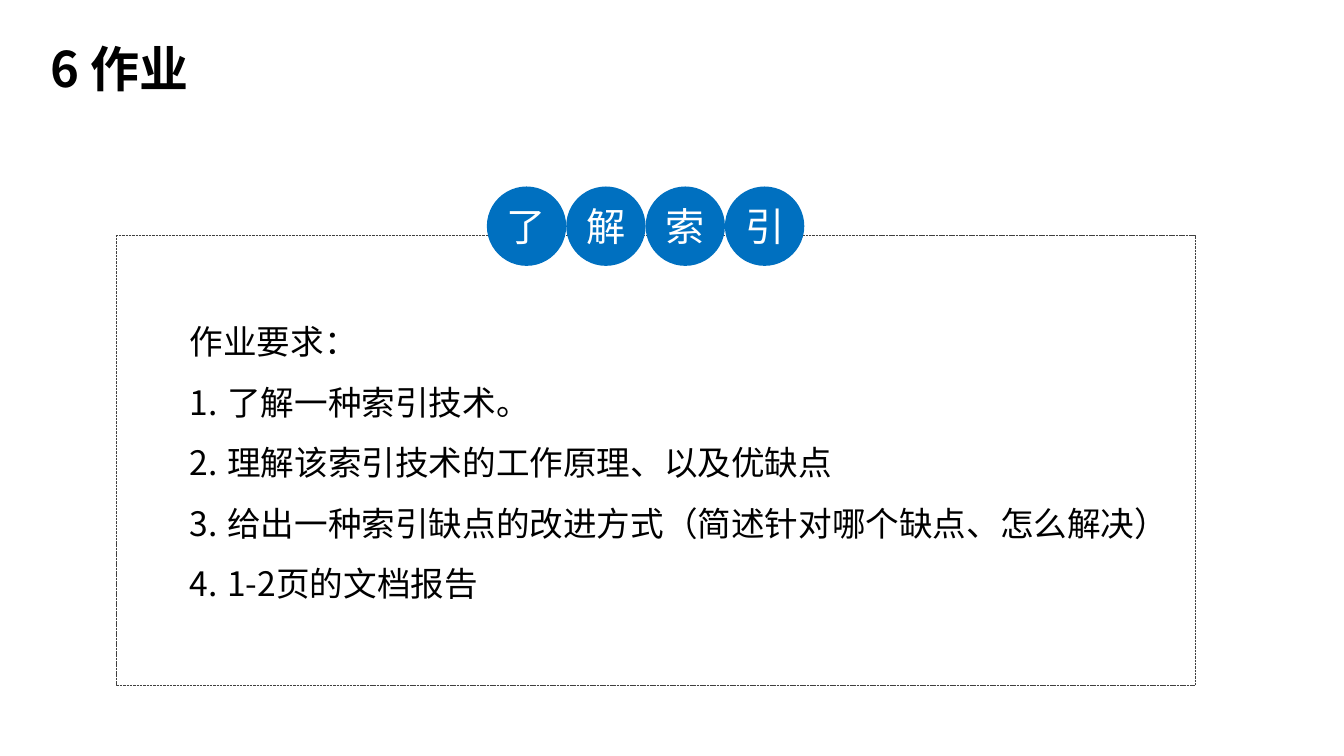
from lxml.etree import SubElement
from pptx import Presentation
from pptx.dml.color import RGBColor
from pptx.enum.dml import MSO_LINE
from pptx.enum.shapes import MSO_SHAPE
from pptx.enum.text import MSO_ANCHOR, MSO_AUTO_SIZE, PP_ALIGN
from pptx.oxml.ns import qn
from pptx.util import Cm, Pt

BLACK = RGBColor(0x00, 0x00, 0x00)
WHITE = RGBColor(0xFF, 0xFF, 0xFF)
BLUE = RGBColor(0x00, 0x70, 0xC0)
GREY = RGBColor(0x40, 0x40, 0x40)


class SlideBuilder:
    """Draws styled elements on the current slide."""

    font = "Noto Sans CJK SC"

    def __init__(self, prs):
        self.s = prs.slides.add_slide(prs.slide_layouts[5])

    def run(self, p, text, size, color=BLACK, bold=False):
        r = p.add_run()
        r.text = text
        r.font.size = Pt(size)
        r.font.bold = bold
        r.font.color.rgb = color
        r.font.name = self.font
        SubElement(r.font._element, qn("a:ea"), typeface=self.font)

    def clear_insets(self, tf):
        tf.margin_left = tf.margin_right = tf.margin_top = tf.margin_bottom = 0

    def title(self, text, left, top, width, height):
        sp = self.s.shapes.title
        sp.left, sp.top, sp.width, sp.height = Cm(left), Cm(top), Cm(width), Cm(height)
        tf = sp.text_frame
        tf.auto_size = MSO_AUTO_SIZE.NONE
        tf.vertical_anchor = MSO_ANCHOR.MIDDLE
        p = tf.paragraphs[0]
        p.alignment = PP_ALIGN.LEFT
        p.line_spacing = 0.9
        self.run(p, text, 35, bold=True)

    def frame(self, left, top, width, height):
        sp = self.s.shapes.add_shape(
            MSO_SHAPE.ROUNDED_RECTANGLE, Cm(left), Cm(top), Cm(width), Cm(height))
        sp.adjustments[0] = 0
        sp.shadow.inherit = False
        sp.fill.background()
        sp.line.color.rgb = GREY
        sp.line.width = Pt(0.25)
        sp.line.dash_style = MSO_LINE.SQUARE_DOT

    def badge(self, text, left, top, size):
        sp = self.s.shapes.add_shape(
            MSO_SHAPE.OVAL, Cm(left), Cm(top), Cm(size), Cm(size))
        sp.shadow.inherit = False
        sp.fill.solid()
        sp.fill.fore_color.rgb = BLUE
        sp.line.fill.background()
        tf = sp.text_frame
        self.clear_insets(tf)
        tf.vertical_anchor = MSO_ANCHOR.MIDDLE
        p = tf.paragraphs[0]
        p.alignment = PP_ALIGN.CENTER
        self.run(p, text, 28, WHITE)

    def numbered_list(self, heading, items, left, top, width, height):
        sp = self.s.shapes.add_textbox(Cm(left), Cm(top), Cm(width), Cm(height))
        tf = sp.text_frame
        tf.word_wrap = True
        tf.auto_size = MSO_AUTO_SIZE.SHAPE_TO_FIT_TEXT
        self.clear_insets(tf)
        self.paragraph(tf.paragraphs[0], heading)
        for item in items:
            p = tf.add_paragraph()
            pPr = p._p.get_or_add_pPr()
            pPr.set("marL", str(Cm(0.95)))
            pPr.set("indent", str(-Cm(0.95)))
            SubElement(pPr, qn("a:buAutoNum"), type="arabicPeriod")
            self.paragraph(p, item)

    def paragraph(self, p, text):
        p.alignment = PP_ALIGN.JUSTIFY
        p.line_spacing = 1.5
        self.run(p, text, 24)


def main():
    prs = Presentation()
    prs.slide_width, prs.slide_height = Cm(33.87), Cm(19.05)
    slide = SlideBuilder(prs)
    slide.title("6 作业", 1.02, 0.81, 15.9, 1.98)
    slide.frame(2.92, 5.92, 27.2, 11.35)
    slide.numbered_list("作业要求：", [
        "了解一种索引技术。",
        "理解该索引技术的工作原理、以及优缺点",
        "给出一种索引缺点的改进方式（简述针对哪个缺点、怎么解决）",
        "1-2页的文档报告",
    ], 4.78, 7.59, 25, 7.52)
    badge_size = 2
    for i, char in enumerate("了解索引"):
        slide.badge(char, 12.27 + i * badge_size, 4.7, badge_size)
    prs.save("out.pptx")


if __name__ == "__main__":
    main()
